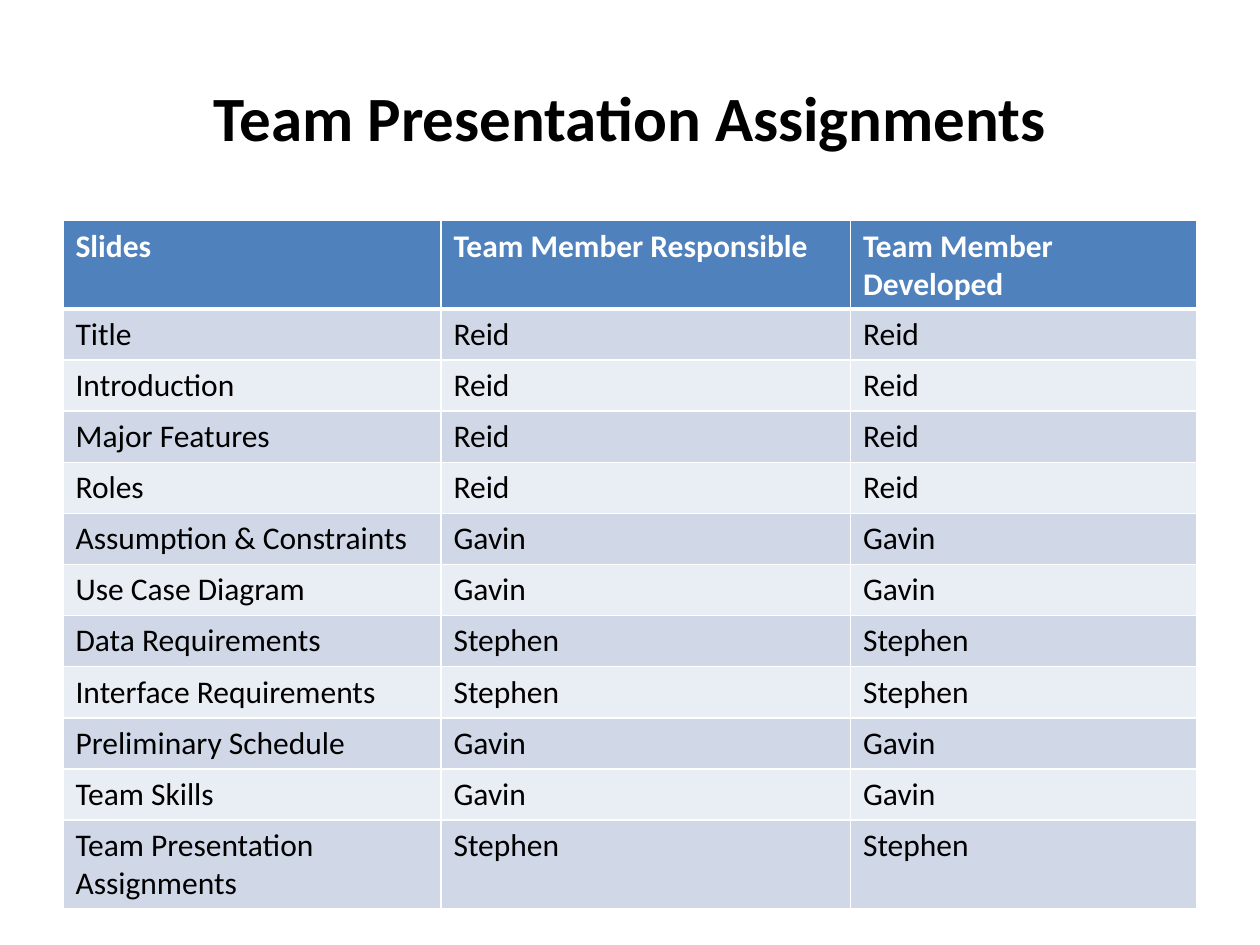
from lxml.etree import SubElement
from pptx import Presentation
from pptx.dml.color import RGBColor
from pptx.enum.text import MSO_ANCHOR, PP_ALIGN
from pptx.oxml.ns import qn
from pptx.util import Cm, Pt

HEADINGS = ("Slides", "Team Member Responsible", "Team Member Developed")
ASSIGNMENTS = (
    ("Title", "Reid"),
    ("Introduction", "Reid"),
    ("Major Features", "Reid"),
    ("Roles", "Reid"),
    ("Assumption & Constraints", "Gavin"),
    ("Use Case Diagram", "Gavin"),
    ("Data Requirements", "Stephen"),
    ("Interface Requirements", "Stephen"),
    ("Preliminary Schedule", "Gavin"),
    ("Team Skills", "Gavin"),
    ("Team Presentation Assignments", "Stephen"),
)
COLUMN_SHARES = (12, 13, 11)
ROW_HEIGHT, TALL_ROW_HEIGHT = 1.03, 1.78
HEADER_FILL, BAND_FILLS = "4F81BD", ("D0D8E8", "E9EDF4")
BLACK, WHITE = "000000", "FFFFFF"


def colour(hex_value):
    """Turn a hex string into a colour."""
    return RGBColor.from_string(hex_value)


def style_text(para, size, hex_value, bold):
    """Format every run of a paragraph."""
    for span in para.runs:
        span.font.name = "Calibri"
        span.font.size = Pt(size)
        span.font.bold = bold
        span.font.color.rgb = colour(hex_value)


def set_borders(cell, bottom_width):
    """Give a cell white borders, with its own width at the bottom."""
    properties = cell._tc.get_or_add_tcPr()
    for side, width in (("L", 1), ("R", 1), ("T", 1), ("B", bottom_width)):
        line = SubElement(properties, qn(f"a:ln{side}"), w=str(Pt(width)))
        SubElement(SubElement(line, qn("a:solidFill")), qn("a:srgbClr"), val=WHITE)


def add_title(page, left, top, width, height):
    """Place the centred slide title."""
    box = page.shapes.add_textbox(Cm(left), Cm(top), Cm(width), Cm(height))
    frame = box.text_frame
    frame.word_wrap = True
    frame.vertical_anchor = MSO_ANCHOR.MIDDLE
    frame.text = "Team Presentation Assignments"
    para = frame.paragraphs[0]
    para.alignment = PP_ALIGN.CENTER
    style_text(para, 36, BLACK, True)


def add_assignments(page, left, top, width, height):
    """Place the banded table of slides and team members."""
    rows = [HEADINGS] + [(topic, member, member) for topic, member in ASSIGNMENTS]
    table = page.shapes.add_table(
        len(rows), len(HEADINGS), Cm(left), Cm(top), Cm(width), Cm(height)
    ).table
    for column, share in zip(table.columns, COLUMN_SHARES):
        column.width = Cm(width * share / sum(COLUMN_SHARES))
    for index, values in enumerate(rows):
        is_header = index == 0
        is_tall = index in (0, len(rows) - 1)
        table.rows[index].height = Cm(TALL_ROW_HEIGHT if is_tall else ROW_HEIGHT)
        for cell, value in zip(table.rows[index].cells, values):
            set_borders(cell, 3 if is_header else 1)
            cell.fill.solid()
            cell.fill.fore_color.rgb = colour(
                HEADER_FILL if is_header else BAND_FILLS[(index - 1) % 2]
            )
            cell.text_frame.text = value
            style_text(
                cell.text_frame.paragraphs[0], 18, WHITE if is_header else BLACK, is_header
            )


def main():
    """Build and save the slide."""
    deck = Presentation()
    deck.slide_width, deck.slide_height = Cm(25.4), Cm(19.05)
    page = deck.slides.add_slide(deck.slide_layouts[6])
    add_title(page, 1.27, 0.76, 22.86, 3.18)
    add_assignments(page, 1.27, 4.45, 22.86, 13.86)
    deck.save("out.pptx")


if __name__ == "__main__":
    main()
